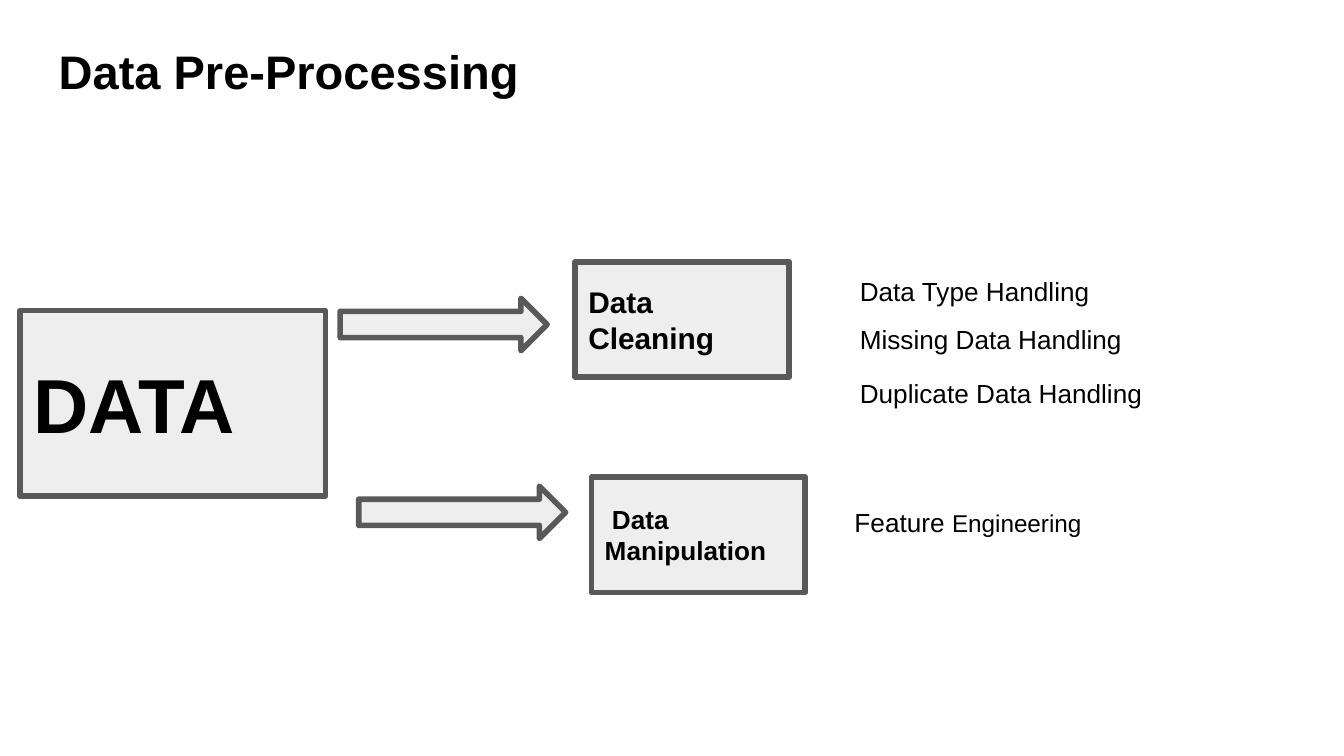
import pptx
import pptx.util
import pptx.dml.color
import pptx.enum.shapes
import pptx.enum.text
import lxml.etree

Cm = pptx.util.Cm
Kind = pptx.enum.shapes.MSO_SHAPE
Anchor = pptx.enum.text.MSO_ANCHOR
Align = pptx.enum.text.PP_ALIGN
HUES = {"ink": "000000", "fill": "EEEEEE", "edge": "595959"}
PAD = Cm(0.25)


def hue(name):
    return pptx.dml.color.RGBColor.from_string(HUES[name])


def write(frame, text, size=14, bold=False, anchor=Anchor.TOP, tail="", small=13):
    frame.word_wrap = True
    frame.vertical_anchor = anchor
    frame.margin_left = frame.margin_right = PAD
    frame.margin_top = frame.margin_bottom = PAD
    para = frame.paragraphs[0]
    para.alignment = Align.LEFT
    for part, points in ((text, size), (tail, small)):
        if part:
            run = para.add_run()
            run.text = part
            run.font.name = "Arial"
            run.font.size = pptx.util.Pt(points)
            run.font.bold = bold
            run.font.color.rgb = hue("ink")


def label(slide, box, text, **style):
    area = slide.shapes.add_textbox(*map(Cm, box))
    write(area.text_frame, text, **style)


def block(slide, kind, box):
    shape = slide.shapes.add_shape(kind, *map(Cm, box))
    shape.shadow.inherit = False
    shape.fill.solid()
    shape.fill.fore_color.rgb = hue("fill")
    shape.line.color.rgb = hue("edge")
    shape.line.width = pptx.util.Pt(3)
    edge = shape.line._get_or_add_ln()
    lxml.etree.SubElement(edge, pptx.oxml.ns.qn("a:round"))
    return shape


def node(slide, box, text, size):
    shape = block(slide, Kind.RECTANGLE, box)
    write(shape.text_frame, text, size=size, bold=True, anchor=Anchor.MIDDLE)


def branch(slide, box, drop, text, size, notes):
    left, top, wide, high = box
    block(slide, Kind.RIGHT_ARROW, (left, top + drop, 3.91, 0.99))
    node(slide, (left + wide - 4.04, top, 4.04, high), text, size)
    for across, down, note, tail in notes:
        spot = (left + wide + across, top + down, 6.5, 1.12)
        label(slide, spot, note, tail=tail)


def main():
    deck = pptx.Presentation()
    deck.slide_width, deck.slide_height = Cm(25.4), Cm(14.29)
    slide = deck.slides.add_slide(deck.slide_layouts[6])
    label(slide, (0.86, 0.56, 23.67, 1.6), "Data Pre-Processing", size=25.2, bold=True)
    node(slide, (0.38, 5.87, 5.77, 3.51), "DATA", 41)
    clean = [
        (1.09, 0, "Data Type Handling", ""),
        (1.09, 0.92, "Missing Data Handling", ""),
        (1.09, 1.93, "Duplicate Data Handling", ""),
    ]
    shape = [(0.68, 0.3, "Feature ", "Engineering")]
    branch(slide, (6.43, 4.95, 8.48, 2.18), 0.69, "Data Cleaning", 16, clean)
    branch(slide, (6.78, 9.02, 8.44, 2.18), 0.17, " Data Manipulation", 14, shape)
    deck.save("out.pptx")


if __name__ == "__main__":
    main()
